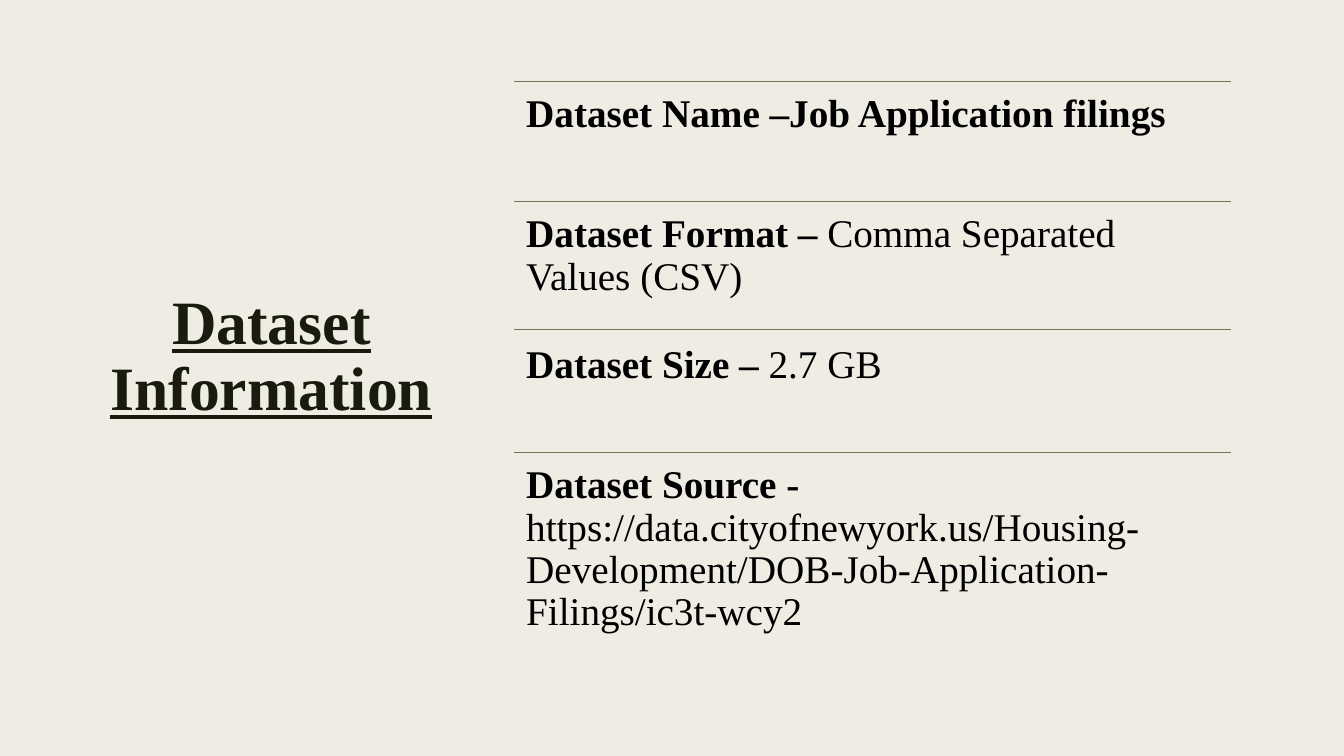
from dataclasses import dataclass
from typing import Any

from pptx import Presentation
from pptx.dml.color import RGBColor
from pptx.enum.shapes import MSO_CONNECTOR
from pptx.enum.text import MSO_ANCHOR, MSO_AUTO_SIZE, PP_ALIGN
from pptx.oxml.ns import qn
from pptx.slide import Slide
from pptx.util import Inches, Pt


@dataclass(frozen=True)
class Theme:
    background: RGBColor = RGBColor.from_string("EFEDE3")
    heading: RGBColor = RGBColor.from_string("191B0E")
    body: RGBColor = RGBColor.from_string("000000")
    rule: RGBColor = RGBColor.from_string("7C7058")
    font: str = "Times New Roman"
    heading_size: Pt = Pt(44)
    body_size: Pt = Pt(28)
    rule_width: Pt = Pt(0.5)


@dataclass(frozen=True)
class Fact:
    label: str
    value: str
    top: float
    height: float
    offset: float = 0
    alignment: PP_ALIGN = PP_ALIGN.LEFT


THEME = Theme()
SLIDE_WIDTH, SLIDE_HEIGHT = Inches(13.333), Inches(7.5)
FACTS_LEFT, FACTS_WIDTH = 0.3825, 0.5335
INSET = Inches(0.12)

FACTS = (
    Fact("Dataset Name –Job Application filings", "", 0.108, 0.159,
         alignment=PP_ALIGN.JUSTIFY),
    Fact("Dataset Format – ", "Comma Separated Values (CSV)", 0.267, 0.169),
    Fact("Dataset Size – ", "2.7 GB", 0.436, 0.163, offset=0.004),
    Fact("Dataset Source - ",
         "https://data.cityofnewyork.us/Housing-Development/"
         "DOB-Job-Application-Filings/ic3t-wcy2", 0.599, 0.322),
)


def across(share: float) -> int:
    return round(SLIDE_WIDTH * share)


def down(share: float) -> int:
    return round(SLIDE_HEIGHT * share)


def apply(target: Any, formats: dict[str, Any]) -> None:
    for attribute, value in formats.items():
        setattr(target, attribute, value)


def add_words(paragraph: Any, words: str, size: Pt, color: RGBColor,
              bold: bool = False, underline: bool = False) -> None:
    run = paragraph.add_run()
    run.text = words
    apply(run.font, {"name": THEME.font, "size": size,
                     "bold": bold, "underline": underline})
    run.font.color.rgb = color


def draw_heading(slide: Slide, words: str) -> None:
    heading = slide.shapes.title
    apply(heading, {"left": across(0.0315), "top": down(0.025),
                    "width": across(0.341), "height": down(0.896)})
    apply(heading.text_frame, {"word_wrap": True, "auto_size": MSO_AUTO_SIZE.NONE,
                               "vertical_anchor": MSO_ANCHOR.MIDDLE})
    paragraph = heading.text_frame.paragraphs[0]
    apply(paragraph, {"alignment": PP_ALIGN.CENTER, "line_spacing": 0.89})
    add_words(paragraph, words, THEME.heading_size, THEME.heading,
              bold=True, underline=True)


def draw_rule(slide: Slide, top: float) -> None:
    rule = slide.shapes.add_connector(
        MSO_CONNECTOR.STRAIGHT, across(FACTS_LEFT), down(top),
        across(FACTS_LEFT + FACTS_WIDTH), down(top))
    rule.line.color.rgb = THEME.rule
    rule.line.width = THEME.rule_width
    properties = rule.line._get_or_add_ln().getparent()
    properties.append(properties.makeelement(qn("a:effectLst"), {}))


def draw_fact(slide: Slide, fact: Fact) -> None:
    draw_rule(slide, fact.top)
    entry = slide.shapes.add_textbox(
        across(FACTS_LEFT), down(fact.top + fact.offset),
        across(FACTS_WIDTH), down(fact.height)).text_frame
    apply(entry, {"word_wrap": True, "vertical_anchor": MSO_ANCHOR.TOP,
                  "margin_left": INSET, "margin_right": INSET,
                  "margin_top": INSET, "margin_bottom": INSET})
    paragraph = entry.paragraphs[0]
    apply(paragraph, {"alignment": fact.alignment, "line_spacing": 0.9})
    add_words(paragraph, fact.label, THEME.body_size, THEME.body, bold=True)
    if fact.value:
        add_words(paragraph, fact.value, THEME.body_size, THEME.body)


def main() -> None:
    presentation = Presentation()
    apply(presentation, {"slide_width": SLIDE_WIDTH, "slide_height": SLIDE_HEIGHT})
    slide = presentation.slides.add_slide(
        presentation.slide_layouts.get_by_name("Title Only"))
    slide.background.fill.solid()
    slide.background.fill.fore_color.rgb = THEME.background
    draw_heading(slide, "Dataset Information")
    for fact in FACTS:
        draw_fact(slide, fact)
    presentation.save("out.pptx")


if __name__ == "__main__":
    main()
